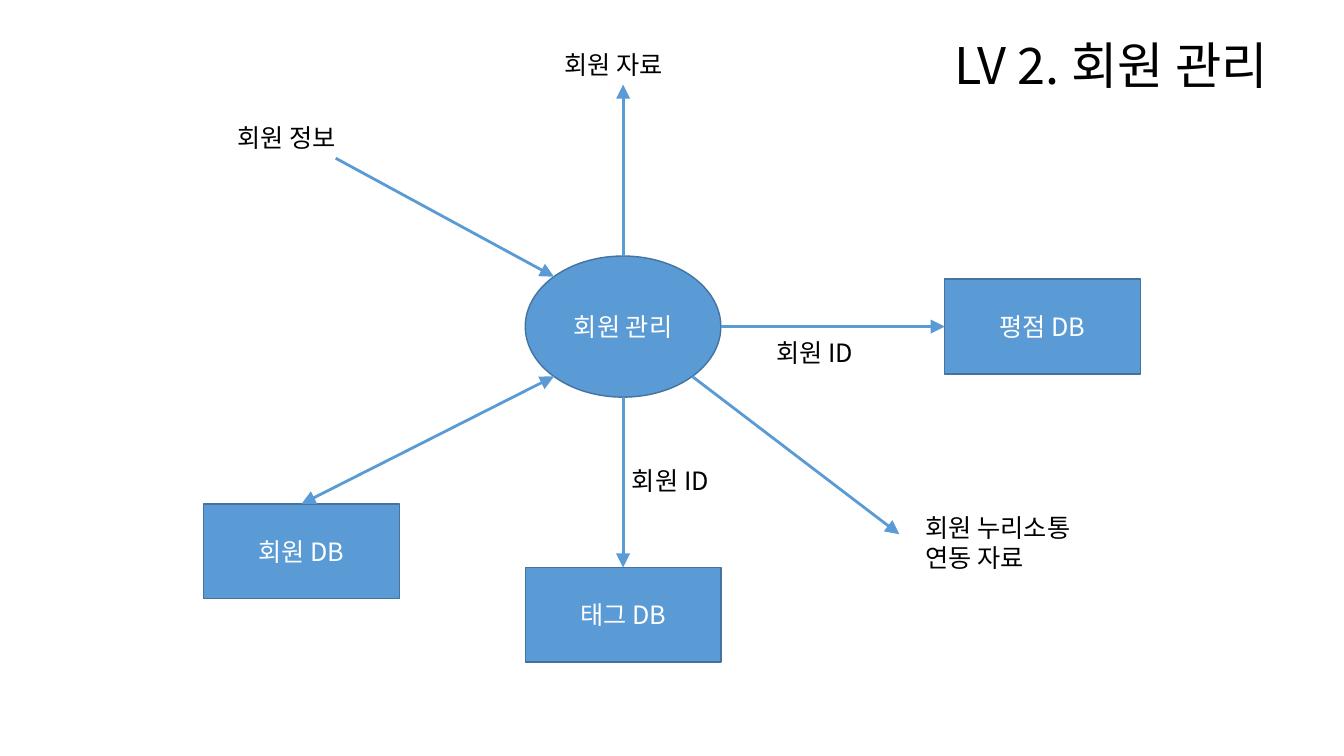
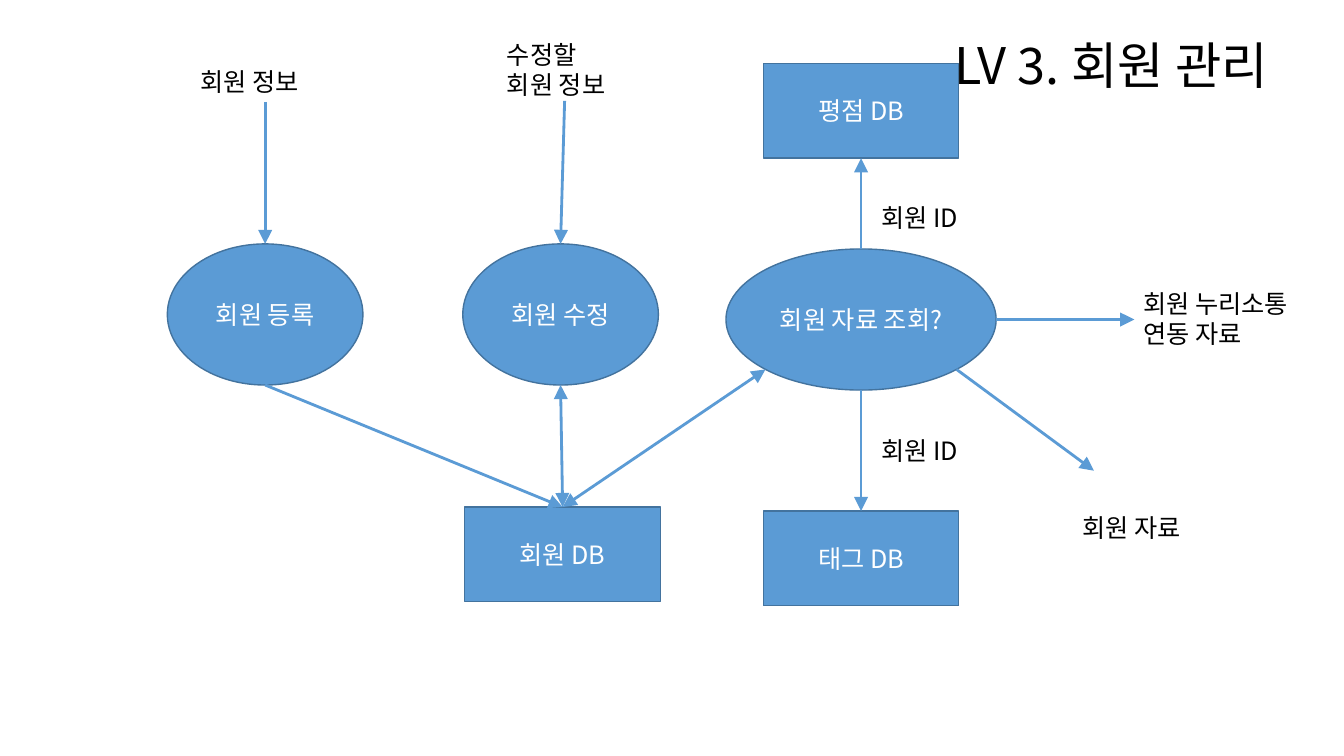
from dataclasses import dataclass
from math import sqrt

from lxml import etree
from pptx import Presentation
from pptx.dml.color import RGBColor
from pptx.enum.shapes import MSO_CONNECTOR, MSO_SHAPE
from pptx.enum.text import MSO_ANCHOR, PP_ALIGN
from pptx.oxml.ns import qn
from pptx.util import Inches, Pt

ELLIPSE, RECTANGLE = MSO_SHAPE.OVAL, MSO_SHAPE.RECTANGLE
STRAIGHT = MSO_CONNECTOR.STRAIGHT
MIDDLE = MSO_ANCHOR.MIDDLE
LEFT_ALIGN, CENTER = PP_ALIGN.LEFT, PP_ALIGN.CENTER

BLUE = RGBColor(0x5B, 0x9B, 0xD5)
OUTLINE = RGBColor(0x43, 0x73, 0x9E)
BLACK = RGBColor(0, 0, 0)
WHITE = RGBColor(0xFF, 0xFF, 0xFF)
FONT = "Noto Sans CJK KR"

NODE_WIDTH, PROCESS_HEIGHT, STORE_HEIGHT = 1.94, 1.4, 0.94
LABEL_WIDTH, WIDE_LABEL_WIDTH = 1.47, 1.88
LINE_HEIGHT, TWO_LINE_HEIGHT = 0.4, 0.71
TITLE_BOX = (9.37, 0.29, 3.76, 0.71)

NEAR = (1 - 1 / sqrt(2)) / 2
FAR = 1 - NEAR
TOP, LEFT, BOTTOM, RIGHT = (0.5, 0), (0, 0.5), (0.5, 1), (1, 0.5)
TOP_LEFT, BOTTOM_LEFT, BOTTOM_RIGHT = (NEAR, NEAR), (NEAR, FAR), (FAR, FAR)
SIDES = (TOP, LEFT, BOTTOM, RIGHT)


def write_text(frame, text, size=18, color=BLACK, align=LEFT_ALIGN):
    """Fill a text frame, one paragraph for each line of text."""
    frame.word_wrap = True
    for index, line in enumerate(text.split("\n")):
        paragraph = frame.add_paragraph() if index else frame.paragraphs[0]
        paragraph.alignment = align
        run = paragraph.add_run()
        run.text = line
        run.font.size = Pt(size)
        run.font.name = FONT
        run.font.color.rgb = color
        etree.SubElement(run.font._element, qn("a:ea"), typeface=FONT)


def add_text(slide, text, left, top, width, height, **text_format):
    """Place a text box, measured in inches."""
    box = slide.shapes.add_textbox(
        Inches(left), Inches(top), Inches(width), Inches(height))
    write_text(box.text_frame, text, **text_format)


@dataclass
class Diagram:
    """A data-flow diagram whose parts are placed from its top left corner."""
    slide: object
    left: float
    top: float

    def node(self, kind, text, x, y, width, height):
        """Draw a filled node with centred text."""
        node = self.slide.shapes.add_shape(
            kind, Inches(self.left + x), Inches(self.top + y),
            Inches(width), Inches(height))
        node.shadow.inherit = False
        node.fill.solid()
        node.fill.fore_color.rgb = BLUE
        node.line.color.rgb = OUTLINE
        node.line.width = Pt(1)
        node.text_frame.vertical_anchor = MIDDLE
        write_text(node.text_frame, text, color=WHITE, align=CENTER)
        return node

    def process(self, text, x, y, width=NODE_WIDTH):
        """Draw a process ellipse."""
        return self.node(ELLIPSE, text, x, y, width, PROCESS_HEIGHT)

    def store(self, text, x, y):
        """Draw a data store rectangle."""
        return self.node(RECTANGLE, text, x, y, NODE_WIDTH, STORE_HEIGHT)

    def label(self, text, x, y, width=LABEL_WIDTH, height=LINE_HEIGHT):
        """Write the name of a flow."""
        add_text(self.slide, text, self.left + x, self.top + y, width, height)

    def linked_data_label(self, x, y):
        """Write the label of the linked data flow on two lines."""
        self.label("회원 누리소통 연동 자료", x, y, WIDE_LABEL_WIDTH, TWO_LINE_HEIGHT)

    def locate(self, end):
        """Return the slide position of a free point or a node's anchor."""
        first, second = end
        if isinstance(second, tuple):
            across, down = second
            return (int(first.left + across * first.width),
                    int(first.top + down * first.height))
        return Inches(self.left + first), Inches(self.top + second)

    def arrow(self, start, end, two_way=False):
        """Draw an arrow between points or (node, anchor) pairs."""
        flow = self.slide.shapes.add_connector(
            STRAIGHT, *self.locate(start), *self.locate(end))
        for (node, anchor), connect in (
                (start, flow.begin_connect), (end, flow.end_connect)):
            if anchor in SIDES and node.auto_shape_type == RECTANGLE:
                connect(node, SIDES.index(anchor))
        flow.line.color.rgb = BLUE
        flow.line.width = Pt(2)
        line = flow.line._get_or_add_ln()
        for tip in ("a:headEnd", "a:tailEnd") if two_way else ("a:tailEnd",):
            etree.SubElement(line, qn(tip), type="triangle", w="lg", len="lg")
        etree.SubElement(flow._element.spPr, qn("a:effectLst"))


def draw_overview(slide, left, top):
    """Draw the level 2 flow around the member process."""
    diagram = Diagram(slide, left, top)
    manage = diagram.process("회원 관리", 3.19, 2.1)
    members = diagram.store("회원 DB", 0, 4.56)
    tags = diagram.store("태그 DB", 3.19, 5.19)
    ratings = diagram.store("평점 DB", 7.35, 2.33)

    diagram.arrow((manage, BOTTOM_LEFT), (members, TOP), two_way=True)
    diagram.arrow((1.31, 1.13), (manage, TOP_LEFT))
    diagram.arrow((manage, BOTTOM), (tags, TOP))
    diagram.arrow((manage, RIGHT), (ratings, LEFT))
    diagram.arrow((manage, TOP), (4.16, 0.4))
    diagram.arrow((manage, BOTTOM_RIGHT), (6.9, 4.86))

    diagram.label("회원 ID", 4.15, 4.13)
    diagram.label("회원 ID", 5.58, 2.86)
    diagram.label("회원 정보", 0.24, 0.72)
    diagram.label("회원 자료", 3.48, 0)
    diagram.linked_data_label(7.06, 4.59)


def draw_detail(slide, left, top):
    """Draw the level 3 flow of registering, editing and looking up."""
    diagram = Diagram(slide, left, top)
    register = diagram.process("회원 등록", 0, 2.08)
    edit = diagram.process("회원 수정", 2.93, 2.08)
    lookup = diagram.process("회원 자료 조회?", 5.54, 2.13, width=2.68)
    members = diagram.store("회원 DB", 2.95, 4.69)
    tags = diagram.store("태그 DB", 5.91, 4.73)
    ratings = diagram.store("평점 DB", 5.91, 0.29)

    diagram.arrow((register, BOTTOM), (members, TOP))
    diagram.arrow((0.97, 0.67), (register, TOP))
    diagram.arrow((lookup, BOTTOM), (tags, TOP))
    diagram.arrow((lookup, TOP), (ratings, BOTTOM))
    diagram.arrow((lookup, BOTTOM_RIGHT), (9.19, 4.33))
    diagram.arrow((lookup, RIGHT), (9.59, 2.83))
    diagram.arrow((edit, BOTTOM), (members, TOP), two_way=True)
    diagram.arrow((3.94, 0.66), (edit, TOP))
    diagram.arrow((lookup, BOTTOM_LEFT), (members, TOP), two_way=True)

    for id_top in (1.62, 3.93):
        diagram.label("회원 ID", 6.98, id_top)
    diagram.label("회원 정보", 0.23, 0.27)
    diagram.label("수정할\n회원 정보", 3.27, 0, height=TWO_LINE_HEIGHT)
    diagram.label("회원 자료", 8.98, 4.69)
    diagram.linked_data_label(9.58, 2.47)


def main():
    """Build and save the presentation."""
    deck = Presentation()
    deck.slide_width, deck.slide_height = Inches(13.33), Inches(7.5)
    for title, draw, left, top in (
            ("LV 2. 회원 관리", draw_overview, 2.02, 0.44),
            ("LV 3. 회원 관리", draw_detail, 1.66, 0.34)):
        slide = deck.slides.add_slide(deck.slide_layouts[6])
        draw(slide, left, top)
        add_text(slide, title, *TITLE_BOX, size=36)
    deck.save("out.pptx")


if __name__ == "__main__":
    main()
